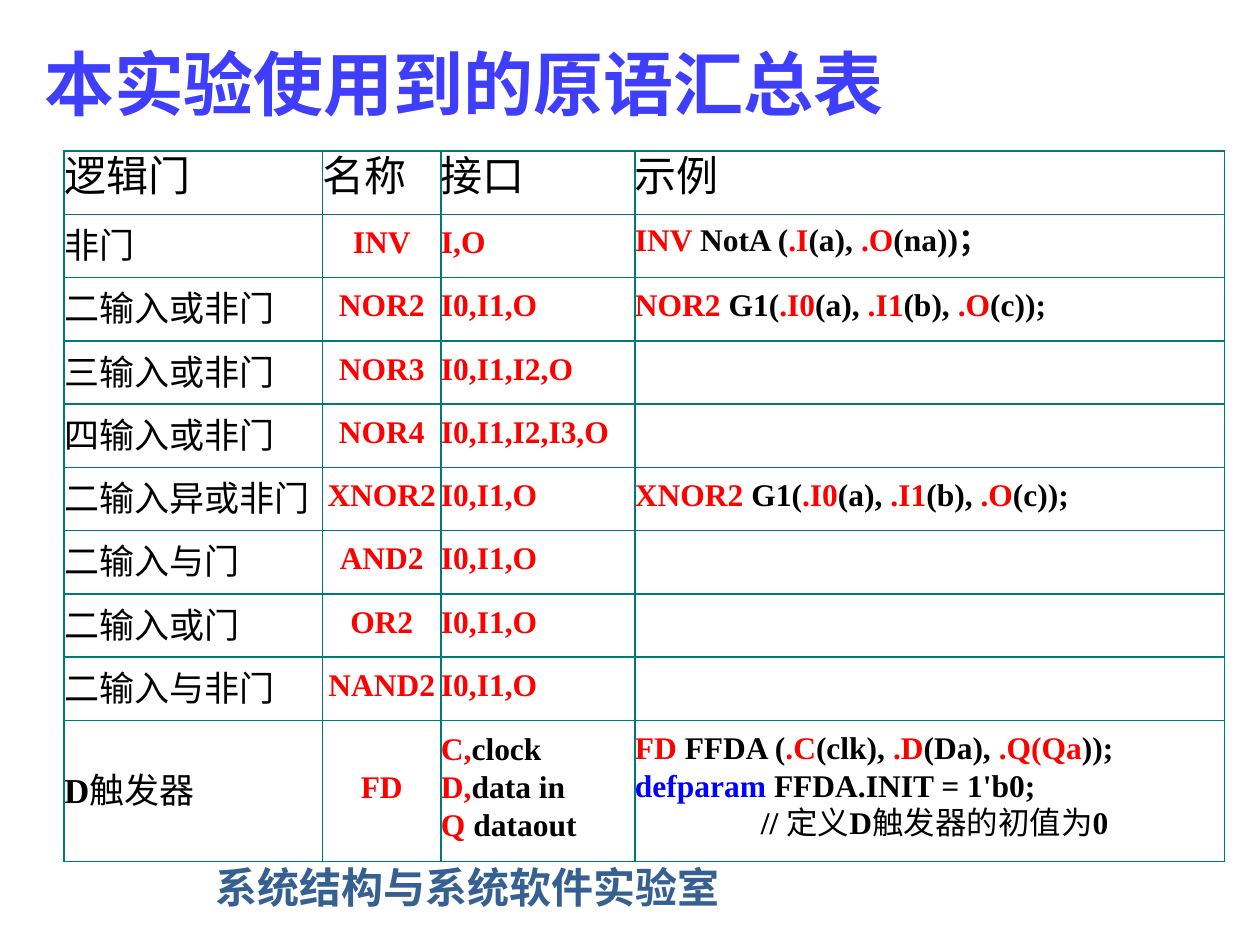
from lxml import etree
from pptx import Presentation
from pptx import util as u
from pptx.dml.color import RGBColor
from pptx.enum import text
from pptx.oxml.ns import qn

COLORS = {
    "title": "3E3EFC", "footer": "376092", "border": "007A77", "fill": "FFFFFF",
    "black": "000000", "ink": "080808", "red": "FF0000", "blue": "0000FF",
}
SERIF, SANS, ARIAL = "Times New Roman", "Noto Sans CJK SC", "Arial"
W, H = u.Inches(10), u.Inches(7.5)
COLUMNS = [20.5, 9.4, 15.4, 46.8]  # percent of slide width
TABLE_TOP, TABLE_HEIGHT, LAST_ROW = 16, 75.2, 14.93  # percent of slide height


def share(x, y, w, h):
    """Turn percentages of the slide into left, top, width, height."""
    return [int(v * size / 100) for v, size in zip((x, y, w, h), (W, H, W, H))]


def add_run(p, words, size=18, font=SERIF, color="red", bold=True):
    r = p.add_run()
    r.text = words
    r.font.size, r.font.name, r.font.bold = u.Pt(size), font, bold
    r.font.color.rgb = RGBColor.from_string(COLORS[color])
    ea = etree.SubElement(r._r.get_or_add_rPr(), qn("a:ea"))
    ea.set("typeface", SANS)


def code(*parts, accent="red", plain="black"):
    """Runs that alternate between accent and plain colour."""
    return [(part, {"color": (accent, plain)[i % 2]}) for i, part in enumerate(parts)]


def gate(name):
    return [(name, {"size": 20, "font": SANS, "color": "black", "bold": False})]


def chinese(words):
    return (words, {"font": SANS, "color": "black", "bold": False})


def latin(words):
    return (words, {"color": "black"})


def set_tab(p, inches):
    tabs = etree.SubElement(p._p.get_or_add_pPr(), qn("a:tabLst"))
    etree.SubElement(tabs, qn("a:tab"), pos=str(u.Inches(inches)), algn="l")


def set_borders(cell):
    tc_pr = cell._tc.get_or_add_tcPr()
    for i, side in enumerate(("lnL", "lnR", "lnT", "lnB")):
        ln = etree.Element(qn("a:" + side), w=str(u.Pt(1)))
        fill = etree.SubElement(ln, qn("a:solidFill"))
        etree.SubElement(fill, qn("a:srgbClr"), val=COLORS["border"])
        tc_pr.insert(i, ln)


def fill_cell(cell, lines, spacing, center=False):
    """Write lines, each a list of (words, format), with exact line spacing."""
    cell.fill.solid()
    cell.fill.fore_color.rgb = RGBColor.from_string(COLORS["fill"])
    set_borders(cell)
    cell.vertical_anchor = text.MSO_ANCHOR.MIDDLE
    cell.margin_left = cell.margin_right = cell.margin_top = cell.margin_bottom = 0
    tf = cell.text_frame
    for i, line in enumerate(lines):
        p = tf.add_paragraph() if i else tf.paragraphs[0]
        p.alignment = text.PP_ALIGN.CENTER if center else text.PP_ALIGN.LEFT
        p.line_spacing = u.Pt(spacing[i])
        if line[0][0].startswith("\t"):
            set_tab(p, 1)
        for words, style in line:
            add_run(p, words, **style)


def two_input_example(name):
    return [code(name + " ", "G1(", ".I0", "(a), ", ".I1", "(b), ", ".O", "(c));")]


def table_rows():
    """Gate, name, ports and example of each primitive."""
    inv = code("INV ", "NotA (", ".I", "(a), ", ".O", "(na))", plain="ink")
    inv.append(("；", {"font": ARIAL, "color": "ink"}))
    rows = [(gate("非门"), "INV", [code("I,O")], [inv])]
    for label, name, ports in (
        ("二输入或非门", "NOR2", "I0,I1,O"),
        ("三输入或非门", "NOR3", "I0,I1,I2,O"),
        ("四输入或非门", "NOR4", "I0,I1,I2,I3,O"),
        ("二输入异或非门", "XNOR2", "I0,I1,O"),
        ("二输入与门", "AND2", "I0,I1,O"),
        ("二输入或门", "OR2", "I0,I1,O"),
        ("二输入与非门", "NAND2", "I0,I1,O"),
    ):
        example = two_input_example(name) if name in ("NOR2", "XNOR2") else []
        rows.append((gate(label), name, [code(ports)], example))
    flip_flop = [("D", {"size": 20, "color": "black"})] + gate("触发器")
    ports = [code("C,", "clock"), code("D,", "data in"), code("Q ", "dataout")]
    example = [
        code("FD ", "FFDA (", ".C", "(clk), ", ".D", "(Da), ", ".Q(Qa", "));"),
        code("defparam ", "FFDA.INIT = 1'b0;", accent="blue"),
        [latin("\t// "), chinese("定义"), latin("D"), chinese("触发器的初值为"), latin("0")],
    ]
    return rows + [(flip_flop, "FD", ports, example)]


def add_primitive_table(slide):
    rows = table_rows()
    box = share(5.1, TABLE_TOP, sum(COLUMNS), TABLE_HEIGHT)
    table = slide.shapes.add_table(len(rows) + 1, len(COLUMNS), *box).table
    table.first_row = table.horz_banding = False
    for col, width in zip(table.columns, COLUMNS):
        col.width = int(W * width / 100)
    heights = [(TABLE_HEIGHT - LAST_ROW) / len(rows)] * len(rows) + [LAST_ROW]
    for row, height in zip(table.rows, heights):
        row.height = int(H * height / 100)

    # Header row
    for c, heading in enumerate(("逻辑门", "名称", "接口", "示例")):
        style = {"size": 24, "color": "black", "bold": False}
        fill_cell(table.cell(0, c), [[(heading, style)]], [24])

    # One row per primitive
    for r, (label, name, ports, example) in enumerate(rows, 1):
        fill_cell(table.cell(r, 0), [label], [26])
        fill_cell(table.cell(r, 1), [code(name)], [16.2], center=True)
        fill_cell(table.cell(r, 2), ports, [16.2, 21.6, 21.6])
        fill_cell(table.cell(r, 3), example, [16.2, 21.6, 22.7])


def add_footer(slide):
    tf = slide.shapes.add_textbox(*share(16.1, 90.53, 52.8, 6.8)).text_frame
    tf.word_wrap = True
    add_run(tf.paragraphs[0], "系统结构与系统软件实验室", size=24, font=SANS, color="footer")


def set_title(slide):
    sp = slide.shapes.title
    sp.left, sp.top, sp.width, sp.height = share(2.5, 1.73, 76.6, 14)
    tf = sp.text_frame
    tf.vertical_anchor = text.MSO_ANCHOR.MIDDLE
    p = tf.paragraphs[0]
    p.alignment = text.PP_ALIGN.LEFT
    add_run(p, "本实验使用到的原语汇总表", size=40, font=SANS, color="title")


def main():
    prs = Presentation()
    prs.slide_width, prs.slide_height = W, H
    slide = prs.slides.add_slide(prs.slide_layouts[5])
    add_footer(slide)
    set_title(slide)
    add_primitive_table(slide)
    prs.save("out.pptx")


if __name__ == "__main__":
    main()
